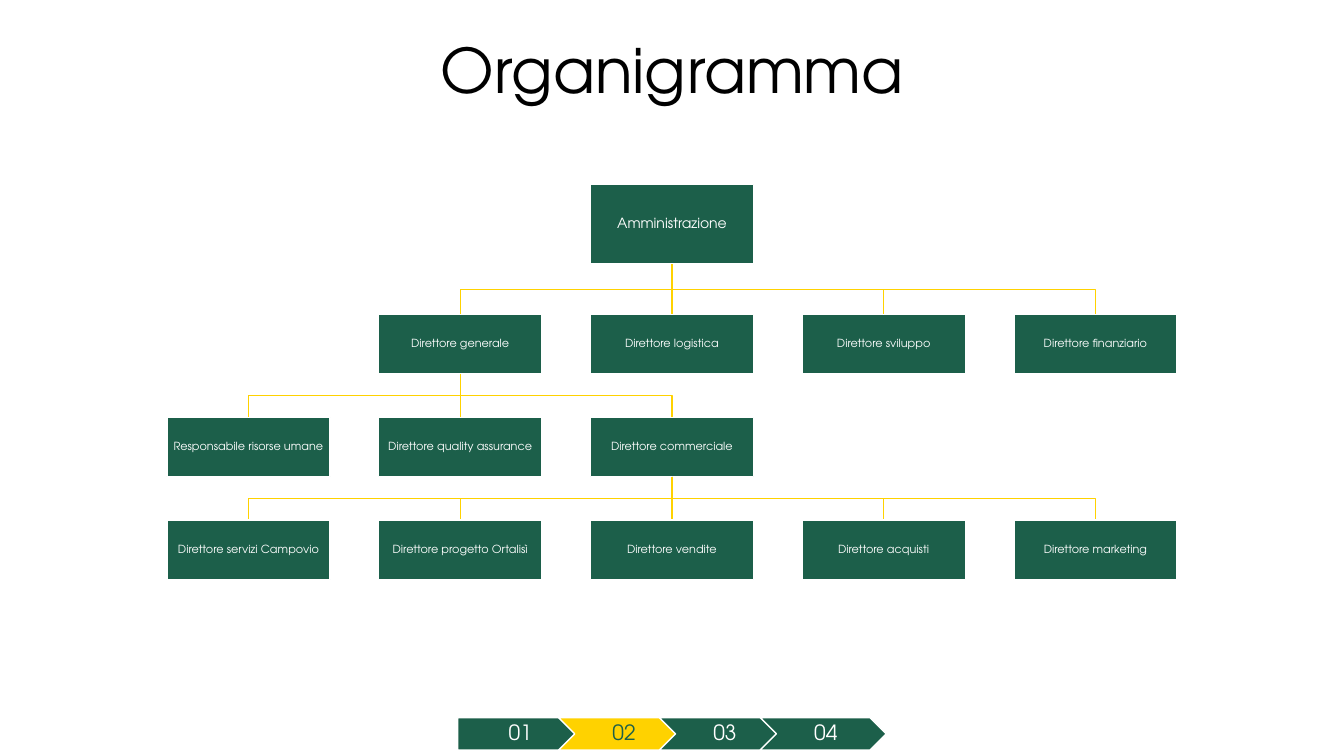
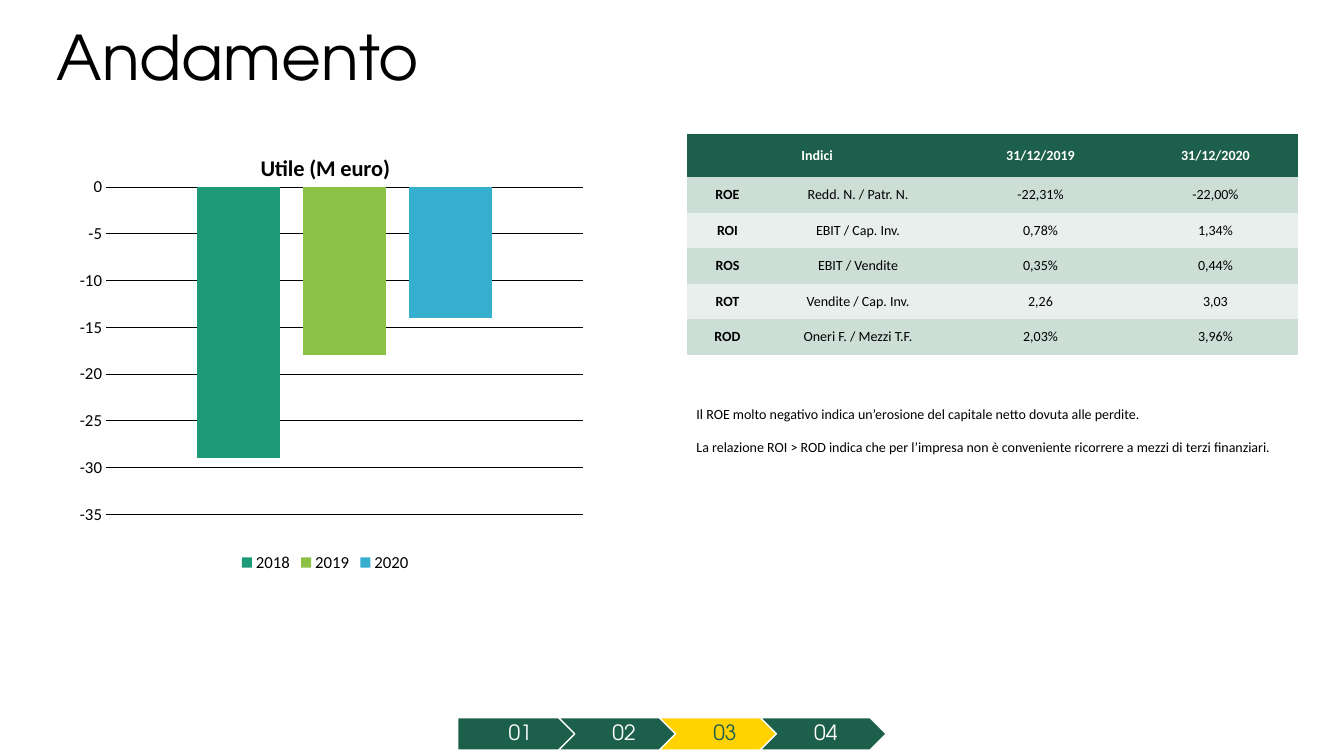
"""Build an organisation chart slide and a results slide with a shared step band."""
from lxml import etree
from pptx import Presentation
from pptx import util as u
from pptx.chart.data import CategoryChartData
from pptx.dml.color import RGBColor
from pptx.enum import chart as ch, shapes, text
from pptx.oxml import parse_xml
from pptx.oxml.ns import nsdecls, qn

GREEN = RGBColor(0x1C, 0x5F, 0x4A)
YELLOW = RGBColor(0xFF, 0xD2, 0x00)
WHITE = RGBColor(0xFF, 0xFF, 0xFF)
BLACK = RGBColor(0x00, 0x00, 0x00)
BAND_DARK = RGBColor(0xCD, 0xDE, 0xD6)
BAND_LIGHT = RGBColor(0xE8, 0xEF, 0xEC)
SERIES = [("2018", -29, RGBColor(0x1D, 0x9A, 0x78)),
          ("2019", -18, RGBColor(0x8B, 0xC1, 0x45)),
          ("2020", -14, RGBColor(0x36, 0xAF, 0xCE))]
HEAD, BODY = "TeX Gyre Adventor", "Calibri"
CENTER, LEFT = text.PP_ALIGN.CENTER, text.PP_ALIGN.LEFT
SHAPE = shapes.MSO_SHAPE
NO_STYLE = "{2D5ABB26-0587-4C30-8999-92F81FD0307C}"
SLIDE_W, SLIDE_H = 13.33, 7.5


def write(tf, words, size, colour, font=HEAD, align=CENTER, spacing=0.9, bold=False):
    tf.text = words
    tf.word_wrap = True
    for p in tf.paragraphs:
        p.alignment, p.line_spacing = align, spacing
        for r in p.runs:
            r.font.name, r.font.size, r.font.bold = font, u.Pt(size), bold
            r.font.color.rgb = colour


def block(s, kind, x, y, w, h, fill, words, size, colour, insets):
    sp = s.shapes.add_shape(kind, u.Inches(x), u.Inches(y), u.Inches(w), u.Inches(h))
    sp.shadow.inherit = False
    sp.fill.solid()
    sp.fill.fore_color.rgb = fill
    sp.line.color.rgb, sp.line.width = WHITE, u.Pt(1)
    tf = sp.text_frame
    write(tf, words, size, colour)
    tf.vertical_anchor = text.MSO_ANCHOR.MIDDLE
    tf.margin_left, tf.margin_top, tf.margin_right, tf.margin_bottom = map(u.Inches, insets)


prs = Presentation()
prs.slide_width, prs.slide_height = u.Inches(SLIDE_W), u.Inches(SLIDE_H)

slides = []
for name, left, top, align, current in [("Organigramma", 2.75, 0, CENTER, 1),
                                        ("Andamento", 0.46, -0.12, LEFT, 2)]:
    s = prs.slides.add_slide(prs.slide_layouts[5])
    title = s.shapes.title
    title.left, title.top = u.Inches(left), u.Inches(top)
    title.width, title.height = u.Inches(7.84), u.Inches(1.45)
    write(title.text_frame, name, 44, BLACK, align=align)
    title.text_frame.vertical_anchor = text.MSO_ANCHOR.MIDDLE
    title.text_frame.auto_size = text.MSO_AUTO_SIZE.NONE
    for i in range(4):
        fill, colour = (YELLOW, GREEN) if i == current else (GREEN, WHITE)
        block(s, SHAPE.CHEVRON if i else SHAPE.PENTAGON, 4.54 + i, 7.12, 1.25, 0.32,
              fill, f"0{i + 1}", 15, colour, (0.07 if i else 0.09, 0.04, 0.02, 0.04))
    slides.append(s)
org, results = slides

PITCH, BOX_W = 2.1, 1.62
COLUMNS = [SLIDE_W / 2 + (i - 2) * PITCH for i in range(5)]
LEVELS = [
    (1.83, 0.79, 10, 2, ["Amministrazione"]),
    (3.12, 0.59, 8, 1, ["Direttore generale", "Direttore logistica",
                        "Direttore sviluppo", "Direttore finanziario"]),
    (4.14, 0.59, 8, 0, ["Responsabile risorse umane", "Direttore quality assurance",
                        "Direttore commerciale"]),
    (5.16, 0.59, 8, 0, ["Direttore servizi Campovio", "Direttore progetto Ortalisì",
                        "Direttore vendite", "Direttore acquisti", "Direttore marketing"]),
]
PARENT_COLUMNS = [None, 2, 1, 2]
bottom = 0
for (y, h, size, first, names), parent in zip(LEVELS, PARENT_COLUMNS):
    for column, name in enumerate(names, first):
        x = COLUMNS[column]
        if parent is not None:
            trunk = COLUMNS[parent]
            x0, y0, x1, y1, bus = map(u.Inches, (trunk, bottom, x, y, (bottom + y) / 2))
            if column == parent:
                link = org.shapes.add_connector(shapes.MSO_CONNECTOR.STRAIGHT, x0, y0, x1, y1)
                etree.SubElement(link._element.spPr, qn("a:effectLst"))
            else:
                outline = org.shapes.build_freeform(x0, y0)
                outline.add_line_segments([(x0, bus), (x1, bus), (x1, y1)], close=False)
                link = outline.convert_to_shape()
                link.shadow.inherit = False
                link.fill.background()
            link.line.color.rgb, link.line.width = YELLOW, u.Pt(1)
        block(org, SHAPE.RECTANGLE, x - BOX_W / 2, y, BOX_W, h, GREEN, name, size, WHITE, [0.03] * 4)
    bottom = y + h

data = CategoryChartData()
data.categories = ["1"]
for name, value, colour in SERIES:
    data.add_series(name, [value])
chart = results.shapes.add_chart(ch.XL_CHART_TYPE.COLUMN_CLUSTERED, u.Inches(0.46), u.Inches(1.33),
                                 u.Inches(5.53), u.Inches(4.39), data).chart
chart.font.name, chart.font.size, chart.font.color.rgb = BODY, u.Pt(12), BLACK
chart.has_title = True
write(chart.chart_title.text_frame, "Utile (M euro)", 16, BLACK, BODY, spacing=1.0, bold=True)
chart.chart_title.include_in_layout = False
chart.has_legend = True
chart.legend.position = ch.XL_LEGEND_POSITION.BOTTOM
chart.legend.include_in_layout = False
plot = chart.plots[0]
plot.gap_width, plot.overlap, plot.vary_by_categories = 219, -27, False
for ser, (name, value, colour) in zip(plot.series, SERIES):
    ser.invert_if_negative = False
    ser.format.fill.solid()
    ser.format.fill.fore_color.rgb = colour
chart.category_axis.visible = False
axis = chart.value_axis
axis.minimum_scale, axis.maximum_scale, axis.major_unit = -35, 0, 5
axis.major_tick_mark = axis.minor_tick_mark = ch.XL_TICK_MARK.NONE
axis.format.line.fill.background()
axis.major_gridlines.format.line.color.rgb = BLACK
axis.major_gridlines.format.line.width = u.Pt(0.75)

area = chart._chartSpace.chart.plotArea
head = chart.chart_title._element
for holder in (area, head):
    for old in holder.findall(qn("c:layout")):
        holder.remove(old)
area.insert(0, parse_xml(
    f'<c:layout {nsdecls("c")}><c:manualLayout><c:layoutTarget val="inner"/>'
    '<c:xMode val="edge"/><c:yMode val="edge"/><c:x val="0.107"/><c:y val="0.12"/>'
    '<c:w val="0.856"/><c:h val="0.74"/></c:manualLayout></c:layout>'))
head.find(qn("c:tx")).addnext(parse_xml(
    f'<c:layout {nsdecls("c")}><c:manualLayout><c:xMode val="edge"/><c:yMode val="edge"/>'
    '<c:x val="0.377"/><c:y val="0.034"/></c:manualLayout></c:layout>'))

ROWS = [
    ["Indici", "", "31/12/2019", "31/12/2020"],
    ["ROE", "Redd. N. / Patr. N.", "-22,31%", "-22,00%"],
    ["ROI", "EBIT / Cap. Inv.", "0,78%", "1,34%"],
    ["ROS", "EBIT / Vendite", "0,35%", "0,44%"],
    ["ROT", "Vendite / Cap. Inv.", "2,26", "3,03"],
    ["ROD", "Oneri F. / Mezzi T.F.", "2,03%", "3,96%"],
]
HEIGHT, HEADER = 2.19, 0.43
table = results.shapes.add_table(len(ROWS), 4, u.Inches(6.81), u.Inches(1.33),
                                 u.Inches(6.06), u.Inches(HEIGHT)).table
table._tbl.tblPr.find(qn("a:tableStyleId")).text = NO_STYLE
for col, width in zip(table.columns, [0.81, 1.78, 1.84, 1.63]):
    col.width = u.Inches(width)
for i, row in enumerate(ROWS):
    table.rows[i].height = u.Inches((HEIGHT - HEADER) / (len(ROWS) - 1) if i else HEADER)
    fill = (BAND_DARK if i % 2 else BAND_LIGHT) if i else GREEN
    for j, words in enumerate(row):
        cell = table.cell(i, j)
        cell.fill.solid()
        cell.fill.fore_color.rgb = fill
        cell.vertical_anchor = text.MSO_ANCHOR.MIDDLE
        cell.margin_top = cell.margin_bottom = 0
        write(cell.text_frame, words, 10, BLACK if i else WHITE, BODY,
              spacing=1.0, bold=i == 0 or j == 0)
table.cell(0, 0).merge(table.cell(0, 1))

notes = results.shapes.add_textbox(u.Inches(6.81), u.Inches(3.97), u.Inches(6.06), u.Inches(0.61))
write(notes.text_frame,
      "Il ROE molto negativo indica un’erosione del capitale netto dovuta alle perdite.\n"
      "La relazione ROI > ROD indica che per l’impresa non è conveniente ricorrere a mezzi di "
      "terzi finanziari.", 10, BLACK, BODY, LEFT, 1.0)
notes.text_frame.paragraphs[1].space_before = u.Pt(12)

prs.save("out.pptx")
